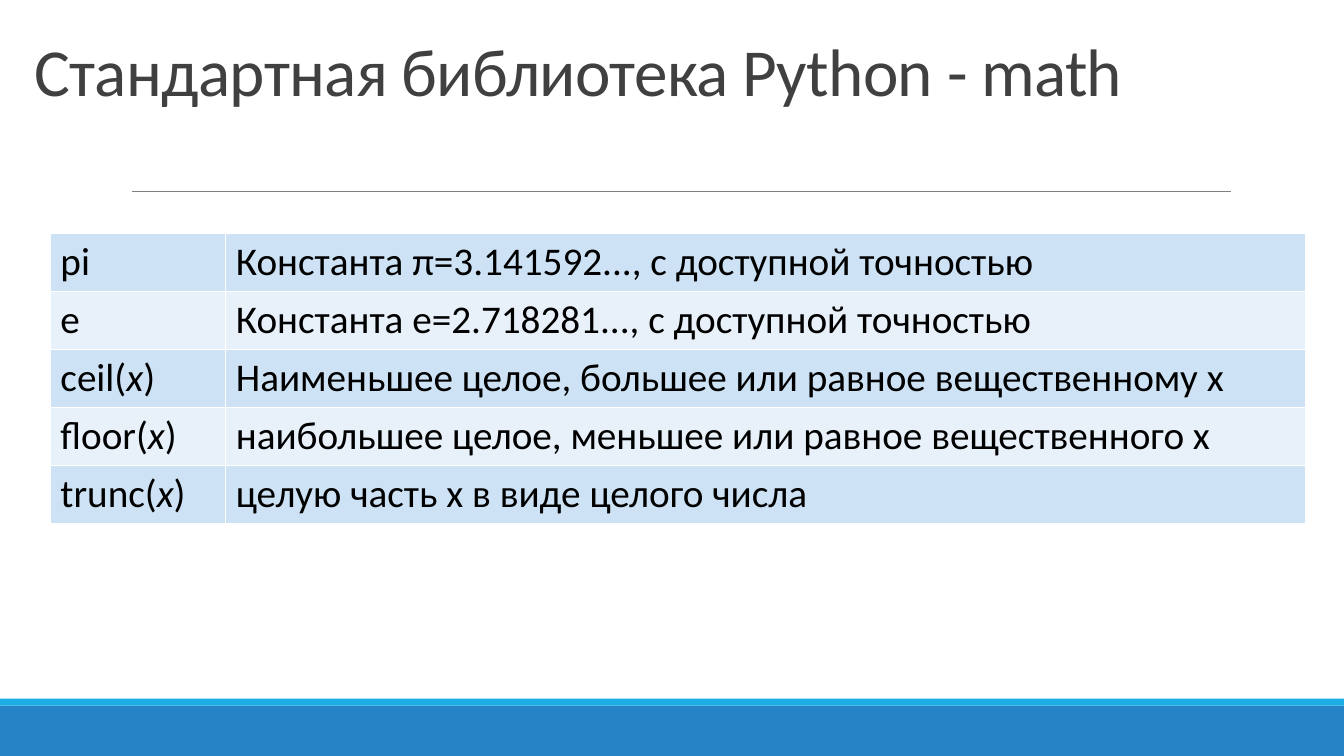
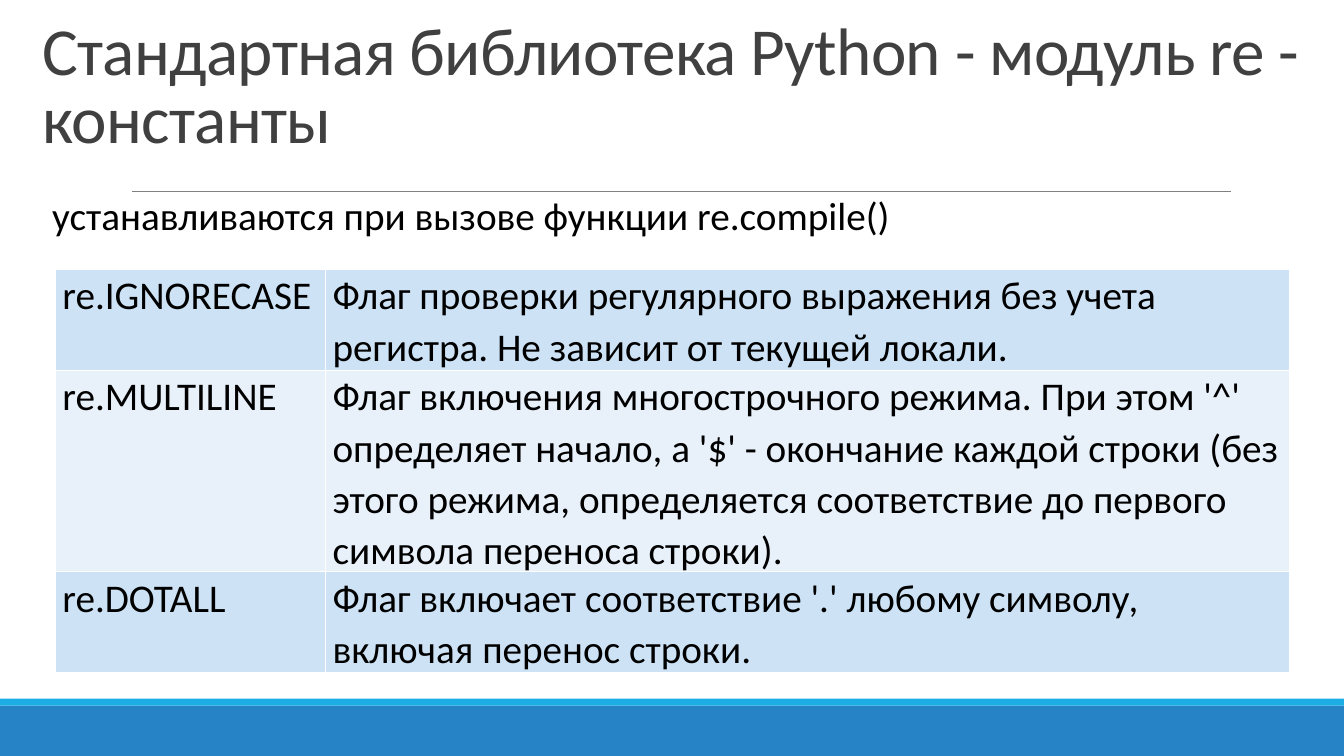
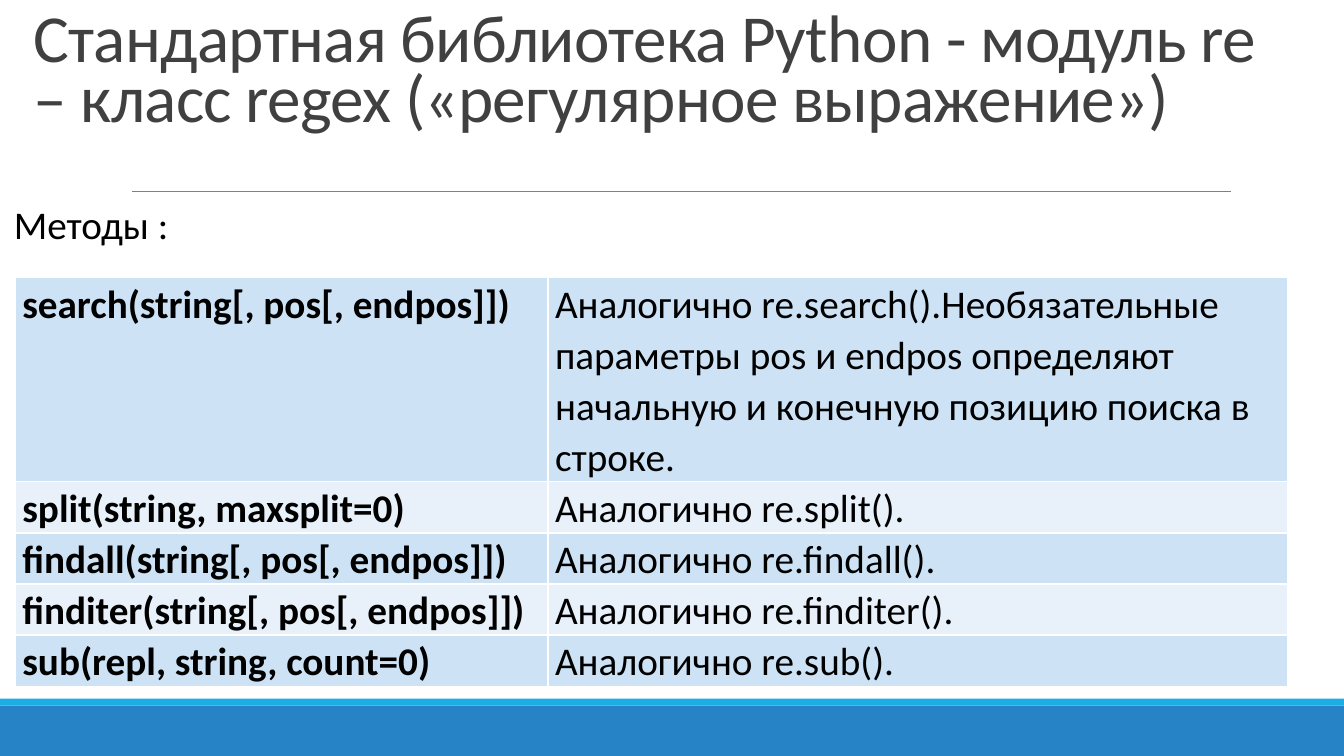
from lxml import etree
from pptx import Presentation
from pptx.dml.color import RGBColor
from pptx.enum.shapes import MSO_CONNECTOR, MSO_SHAPE
from pptx.enum.text import MSO_ANCHOR, MSO_AUTO_SIZE, PP_ALIGN
from pptx.oxml import parse_xml
from pptx.oxml.ns import nsdecls, qn
from pptx.util import Pt

RECT = MSO_SHAPE.RECTANGLE
LINE = MSO_CONNECTOR.STRAIGHT
BOTTOM = MSO_ANCHOR.BOTTOM
FIXED = MSO_AUTO_SIZE.NONE
LEFT = PP_ALIGN.LEFT

color = RGBColor.from_string
BANDS = [(504, 36, "2683C6"), (499, 5, "1CADE4")]
FILLS = ["CDE3F5", "E8F1FA"]
SIDES = ["lnL", "lnR", "lnT", "lnB"]
HEAD = {"name": "Calibri", "size": Pt(48), "bold": False}
BODY = {"name": "Calibri", "size": Pt(28), "bold": False}
LOOSE = {"margin_left": Pt(7.2), "margin_right": Pt(7.2),
         "margin_top": Pt(3.6), "margin_bottom": Pt(3.6)}
TIGHT = {"margin_left": Pt(5), "margin_right": Pt(5),
         "margin_top": 0, "margin_bottom": 0}

PAGES = [
    {
        "title": "Стандартная библиотека Python - math",
        "box": (17.3, 20.2, 915, 62), "lead": 0.85,
        "note": None,
        "spot": (36, 166.5), "cols": (125.3, 771.1),
        "pitch": 41.4, "space": 1, "inset": LOOSE, "bold": False,
        "rows": [
            (1, "pi", "Константа π=3.141592..., с доступной точностью"),
            (1, "e", "Константа e=2.718281..., с доступной точностью"),
            (1, "ceil(|x|)", "Наименьшее целое, большее или равное вещественному x"),
            (1, "floor(|x|)", "наибольшее целое, меньшее или равное вещественного x"),
            (1, "trunc(|x|)", "целую часть x в виде целого числа"),
        ],
    },
    {
        "title": "Стандартная библиотека Python - модуль re - константы",
        "box": (23, 0, 913.7, 116), "lead": 0.85,
        "note": ("устанавливаются при вызове функции re.compile()",
                 (30.2, 133.2, 626.4, 41)),
        "spot": (39.6, 192.4), "cols": (193, 688.3),
        "pitch": 36, "space": 1.07, "inset": TIGHT, "bold": False,
        "rows": [
            (2, "re.IGNORECASE",
             "Флаг проверки регулярного выражения без учета регистра. "
             "Не зависит от текущей локали."),
            (4, "re.MULTILINE",
             "Флаг включения многострочного режима. При этом '^' определяет "
             "начало, а '$' - окончание каждой строки (без этого режима, "
             "определяется соответствие до первого символа переноса строки)."),
            (2, "re.DOTALL",
             "Флаг включает соответствие '.' любому символу, "
             "включая перенос строки."),
        ],
    },
    {
        "title": "Стандартная библиотека Python - модуль re "
                 "– класс regex («регулярное выражение»)",
        "box": (16.6, 0, 913.7, 100), "lead": 0.75,
        "note": ("Методы :", (2.9, 139.7, 957, 41)),
        "spot": (11, 198.2), "cols": (380.5, 528.5),
        "pitch": 36.5, "space": 1.07, "inset": TIGHT, "bold": True,
        "rows": [
            (4, "search(string[, pos[, endpos]])",
             "Аналогично re.search().Необязательные параметры pos и endpos "
             "определяют начальную и конечную позицию поиска в строке."),
            (1, "split(string, maxsplit=0)", "Аналогично re.split()."),
            (1, "findall(string[, pos[, endpos]])", "Аналогично re.findall()."),
            (1, "finditer(string[, pos[, endpos]])", "Аналогично re.finditer()."),
            (1, "sub(repl, string, count=0)", "Аналогично re.sub()."),
        ],
    },
]


def write(frame, text, style, hue, space=1):
    para = frame.paragraphs[0]
    para.alignment = LEFT
    para.line_spacing = space
    for i, part in enumerate(text.split("|")):
        run = para.add_run()
        run.text = part
        for key, value in style.items():
            setattr(run.font, key, value)
        run.font.color.rgb = color(hue)
        if i % 2:
            run.font.italic = True


deck = Presentation()
deck.slide_width, deck.slide_height = Pt(960), Pt(540)
layout = deck.slide_layouts[5]

for page in PAGES:
    slide = deck.slides.add_slide(layout)
    shapes = slide.shapes

    if page is PAGES[0]:
        base = layout.shapes.element
        for top, height, hue in BANDS:
            band = shapes.add_shape(RECT, 0, Pt(top), Pt(960), Pt(height))
            band.shadow.inherit = False
            band.fill.solid()
            band.fill.fore_color.rgb = color(hue)
            band.line.fill.background()
            base.append(band.element)
        rule = shapes.add_connector(LINE, Pt(94.3), Pt(136.8), Pt(879), Pt(136.8))
        rule.line.color.rgb = color("808080")
        rule.line.width = Pt(0.5)
        etree.SubElement(rule.element.find(qn("p:spPr")), qn("a:effectLst"))
        base.append(rule.element)

    title = shapes.title
    title.left, title.top, title.width, title.height = map(Pt, page["box"])
    frame = title.text_frame
    frame.auto_size = FIXED
    frame.vertical_anchor = BOTTOM
    frame.word_wrap = True
    write(frame, page["title"], HEAD, "404040", page["lead"])
    for props in title.element.iter(qn("a:rPr")):
        props.set("spc", "-50")

    if page["note"]:
        text, box = page["note"]
        note = shapes.add_textbox(*map(Pt, box))
        note.text_frame.word_wrap = True
        write(note.text_frame, text, BODY, "000000")

    rows, cols = page["rows"], page["cols"]
    total = sum(row[0] for row in rows) * page["pitch"]
    grid = shapes.add_table(len(rows), len(cols), *map(Pt, page["spot"]),
                            Pt(sum(cols)), Pt(total))
    table = grid.table
    table.first_row = table.horz_banding = False
    for col, width in zip(table.columns, cols):
        col.width = Pt(width)
    for r, (lines, *texts) in enumerate(rows):
        table.rows[r].height = Pt(lines * page["pitch"])
        for c, text in enumerate(texts):
            cell = table.cell(r, c)
            cell.fill.solid()
            cell.fill.fore_color.rgb = color(FILLS[r % 2])
            for key, value in page["inset"].items():
                setattr(cell, key, value)
            style = {**BODY, "bold": page["bold"] and c == 0}
            write(cell.text_frame, text, style, "000000", page["space"])
    for props in grid.element.iter(qn("a:tcPr")):
        for i, side in enumerate(SIDES):
            props.insert(i, parse_xml(
                f'<a:{side} {nsdecls("a")} w="12700"><a:solidFill>'
                f'<a:srgbClr val="FFFFFF"/></a:solidFill></a:{side}>'))

deck.save("out.pptx")
